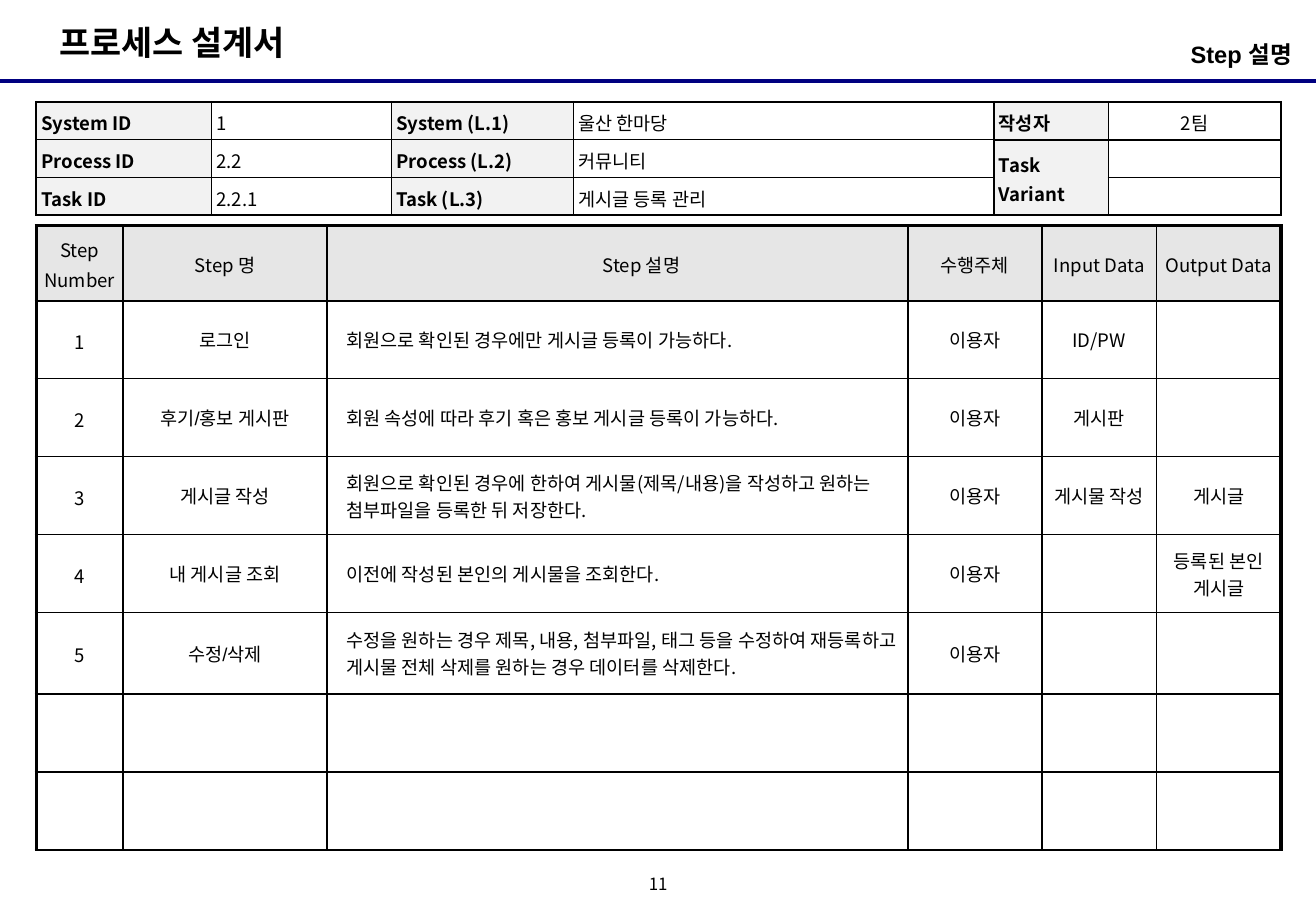
from lxml.etree import SubElement
from pptx import Presentation
from pptx.dml.color import RGBColor
from pptx.enum.shapes import MSO_CONNECTOR
from pptx.enum.text import MSO_ANCHOR, PP_ALIGN
from pptx.oxml.ns import qn
from pptx.util import Cm, Pt

SANS = "Noto Sans CJK KR"
LEFT, MID, RIGHT = PP_ALIGN.LEFT, PP_ALIGN.CENTER, PP_ALIGN.RIGHT
rgb = RGBColor.from_string


def write(para, text, size, bold=False, align=LEFT, face=SANS, gap=1.0):
    para.text = text
    para.alignment = align
    para.line_spacing = gap
    font = para.font
    font.size, font.bold, font.name = Pt(size), bold, face
    font.color.rgb = rgb("000000")
    SubElement(font._element, qn("a:ea")).set("typeface", SANS)


def edge(cell, widths):
    """Draw the left, right, top and bottom borders, widths in points."""
    props = cell._tc.get_or_add_tcPr()
    for side, width in zip("LRTB", widths):
        line = SubElement(props, qn(f"a:ln{side}"), w=str(Pt(width)))
        fill = SubElement(line, qn("a:solidFill"))
        SubElement(fill, qn("a:srgbClr"), val="000000")


deck = Presentation()
deck.slide_width, deck.slide_height = Cm(27.51), Cm(19.05)
slide = deck.slides.add_slide(deck.slide_layouts[6])
shapes = slide.shapes

# Heading, page number and rule
rule = shapes.add_connector(MSO_CONNECTOR.STRAIGHT, 0, Cm(1.7), deck.slide_width, Cm(1.7))
rule.line.color.rgb = rgb("000080")
rule.line.width = Pt(2.25)
SubElement(rule._element.spPr, qn("a:effectLst"))

title = shapes.add_textbox(Cm(0.99), Cm(0.33), Cm(5.74), Cm(1.12)).text_frame
title.word_wrap = False
write(title.paragraphs[0], "프로세스 설계서", 20, True)

topic = shapes.add_textbox(Cm(18.77), Cm(0.71), Cm(8.41), Cm(0.99)).text_frame
topic.word_wrap = True
topic.margin_left, topic.margin_right = 0, Cm(0.17)
write(topic.paragraphs[0], "Step 설명", 14, True, RIGHT, "Arial")

page = shapes.add_textbox(Cm(13.34), Cm(18.21), Cm(0.84), Cm(0.64)).text_frame
page.word_wrap = False
page.vertical_anchor = MSO_ANCHOR.MIDDLE
page.margin_left = page.margin_right = page.margin_top = page.margin_bottom = 0
write(page.paragraphs[0], "11", 10, align=MID, gap=0.8)

# Task details
info = [
    ["System ID", "1", "System (L.1)", "울산 한마당", "작성자", "2팀"],
    ["Process ID", "2.2", "Process (L.2)", "커뮤니티", "Task Variant", ""],
    ["Task ID", "2.2.1", "Task (L.3)", "게시글 등록 관리", "", ""],
]
grid = shapes.add_table(3, 6, Cm(0.76), Cm(2.13), Cm(26.02), Cm(2.37)).table
grid.first_row = grid.horz_banding = False
for col, width in zip(grid.columns, [3.66, 3.76, 3.81, 8.79, 2.39, 3.61]):
    col.width = Cm(width)
for r, row in enumerate(info):
    grid.rows[r].height = Cm(0.79)
    for c, text in enumerate(row):
        cell = grid.cell(r, c)
        label = c % 2 == 0
        write(cell.text_frame.paragraphs[0], text, 11, label, MID if c == 5 else LEFT, gap=1.1)
        cell.margin_left = cell.margin_right = Cm(0.1)
        cell.margin_top = cell.margin_bottom = Cm(0.1)
        cell.vertical_anchor = MSO_ANCHOR.MIDDLE if c > 3 else MSO_ANCHOR.TOP
        top = r == 0 or (r == 1 and c > 3)
        base = r == 2 or (r == 0 and c > 3) or (r == 1 and c == 4)
        edge(cell, [1.5 if thick else 1 for thick in (c == 0, c == 5, top, base)])
        if label:
            cell.fill.solid()
            cell.fill.fore_color.rgb = rgb("F2F2F2")
        else:
            cell.fill.background()
grid.cell(1, 4).merge(grid.cell(2, 4))

# Steps
steps = [
    ["Step Number", "Step 명", "Step 설명", "수행주체", "Input Data", "Output Data"],
    ["1", "로그인", "회원으로 확인된 경우에만 게시글 등록이 가능하다.", "이용자", "ID/PW", ""],
    ["2", "후기/홍보 게시판", "회원 속성에 따라 후기 혹은 홍보 게시글 등록이 가능하다.",
     "이용자", "게시판", ""],
    ["3", "게시글 작성",
     "회원으로 확인된 경우에 한하여 게시물(제목/내용)을 작성하고 원하는 첨부파일을 등록한 뒤 저장한다.",
     "이용자", "게시물 작성", "게시글"],
    ["4", "내 게시글 조회", "이전에 작성된 본인의 게시물을 조회한다.",
     "이용자", "", "등록된 본인 게시글"],
    ["5", "수정/삭제",
     "수정을 원하는 경우 제목, 내용, 첨부파일, 태그 등을 수정하여 재등록하고 "
     "게시물 전체 삭제를 원하는 경우 데이터를 삭제한다.",
     "이용자", "", ""],
    [""] * 6,
    [""] * 6,
]
highs = [1.57, 1.63, 1.63, 1.63, 1.63, 1.7, 1.63, 1.63]
grid = shapes.add_table(8, 6, Cm(0.76), Cm(4.72), Cm(26.02), Cm(13.05)).table
grid.first_row = grid.horz_banding = False
for col, width in zip(grid.columns, [1.81, 4.27, 12.14, 2.8, 2.4, 2.6]):
    col.width = Cm(width)
for r, row in enumerate(steps):
    grid.rows[r].height = Cm(highs[r])
    head = r == 0
    for c, text in enumerate(row):
        cell = grid.cell(r, c)
        para = cell.text_frame.paragraphs[0]
        write(para, text, 11, align=LEFT if c == 2 and not head else MID,
              face="Arial" if c == 1 and not head else SANS,
              gap=1.1 if head or c == 0 else 1.0)
        if c == 2:
            props = para._p.get_or_add_pPr()
            props.set("marL", str(Cm(1 if head else 0.25)))
            props.set("indent", "0")
        cell.margin_left = cell.margin_right = Cm(0.15)
        cell.margin_top = cell.margin_bottom = Cm(0.1)
        cell.vertical_anchor = MSO_ANCHOR.MIDDLE
        edge(cell, [2.25 if thick else 1 for thick in (c == 0, c == 5, head, False)])
        if head:
            cell.fill.solid()
            cell.fill.fore_color.rgb = rgb("E6E6E6")
        else:
            cell.fill.background()

deck.save("out.pptx")
